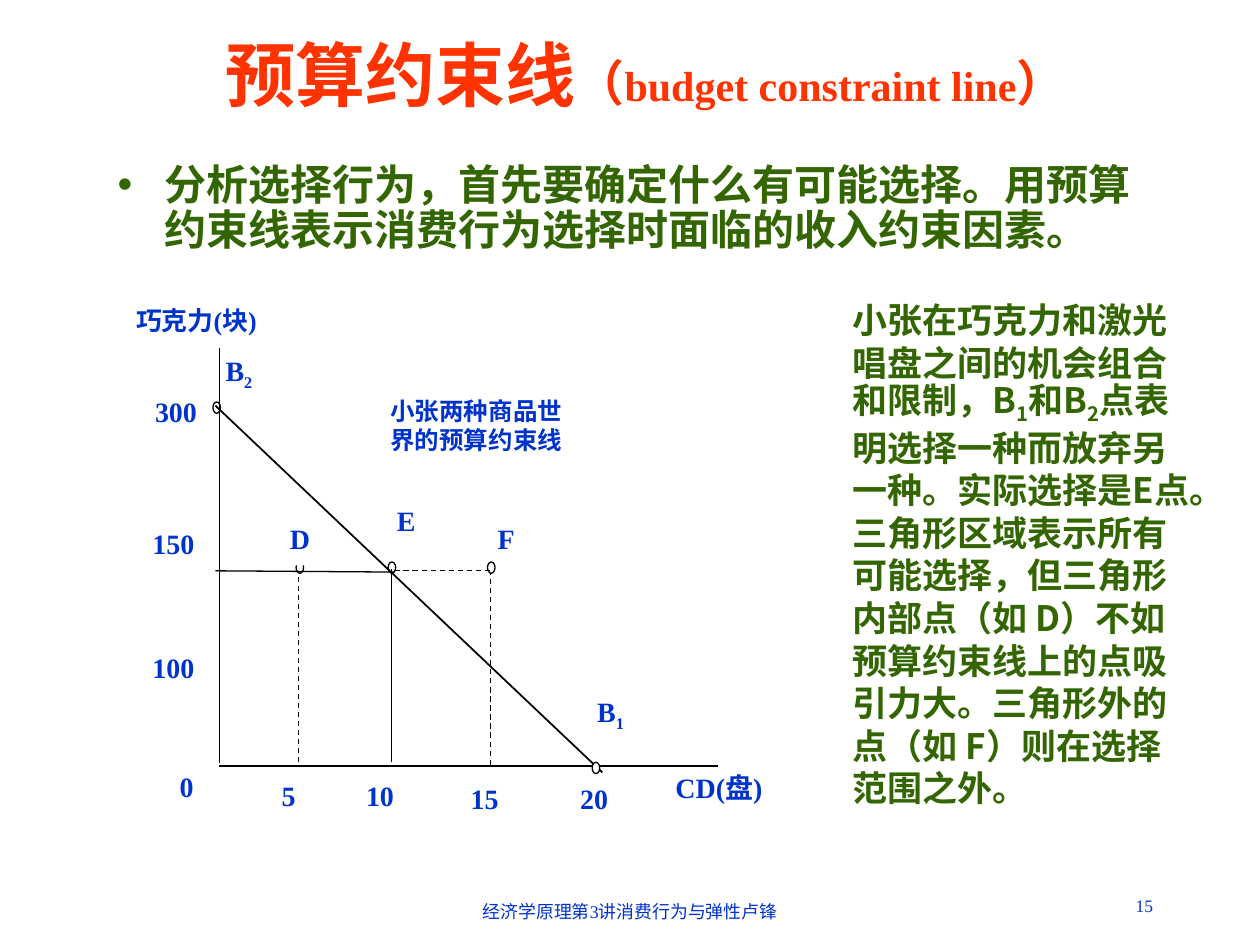
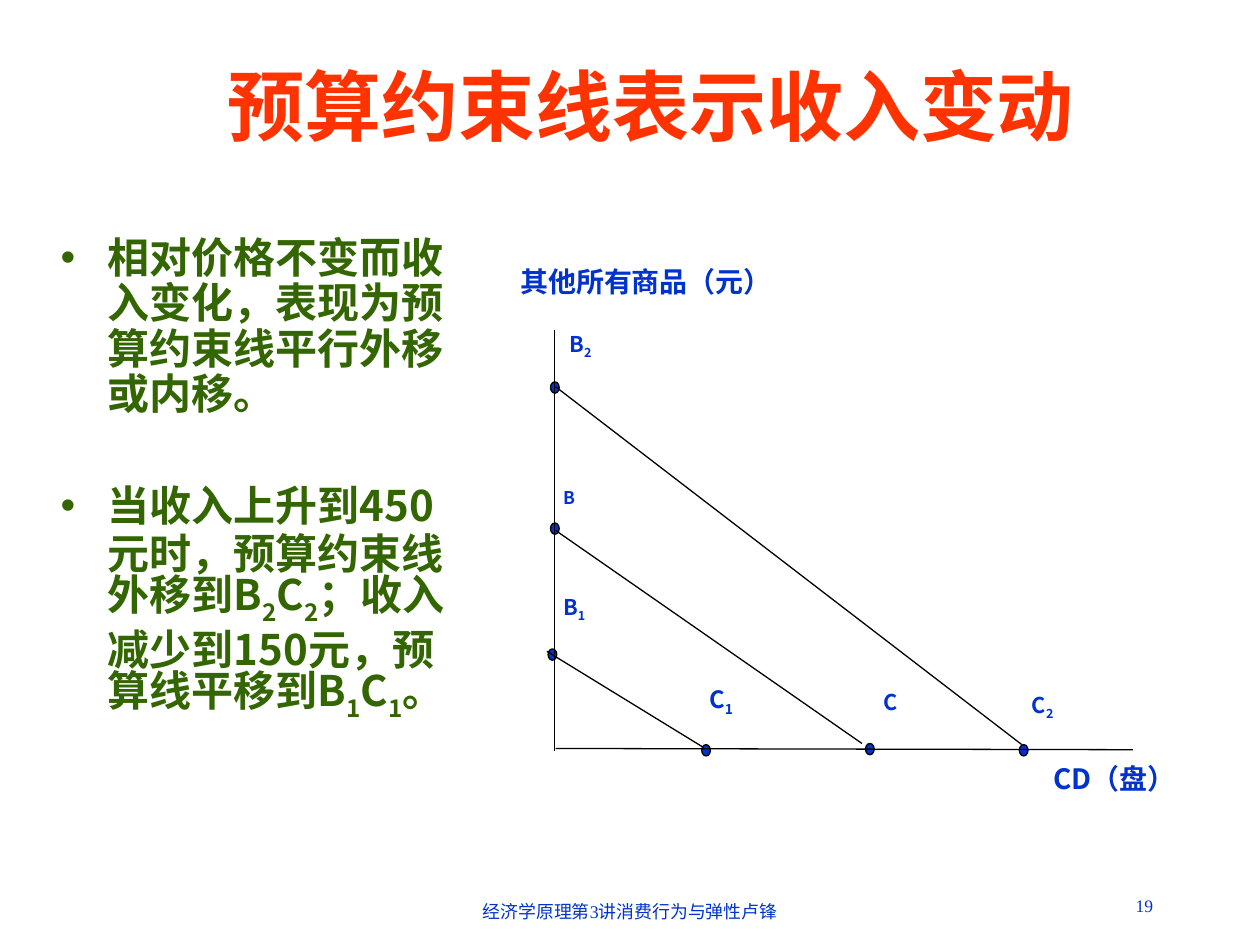
from dataclasses import dataclass
from typing import Optional

from lxml import etree
from pptx import Presentation
from pptx.dml.color import RGBColor
from pptx.enum.dml import MSO_LINE_DASH_STYLE as Dash
from pptx.enum.shapes import MSO_CONNECTOR as Connector, MSO_SHAPE as Shape
from pptx.enum.text import MSO_ANCHOR as Anchor, MSO_AUTO_SIZE as AutoSize, PP_ALIGN as Align
from pptx.oxml.ns import qn
from pptx.util import Pt

# Shared look
RED, GREEN, BLUE, BLACK, WHITE = "FF3300", "336600", "0033CC", "000000", "FFFFFF"
SERIF, SANS = "Times New Roman", "Noto Sans CJK SC"
FOOTER = "经济学原理第3讲消费行为与弹性卢锋"
LEADING = 1.2  # line pitch as a multiple of the text size


@dataclass(frozen=True)
class Box:
    x: float
    y: float
    w: float
    h: float

    def emu(self) -> tuple:
        return Pt(self.x), Pt(self.y), Pt(self.w), Pt(self.h)


@dataclass(frozen=True)
class Style:
    size: float
    color: str = BLUE
    bold: bool = True
    font: str = SERIF


@dataclass(frozen=True)
class Label:
    text: str
    box: Box
    size: float = 16


@dataclass(frozen=True)
class Segment:
    x1: float
    y1: float
    x2: float
    y2: float
    dashed: bool = False
    width: float = 0.75


@dataclass(frozen=True)
class Dot:
    x: float
    y: float


@dataclass(frozen=True)
class Bullet:
    text: str
    pitch: float
    before: float = 0


def rgb(color: str) -> RGBColor:
    return RGBColor.from_string(color)


# Text
def format_paragraph(p, style: Style) -> None:
    f = p.font
    f.size, f.bold, f.name = Pt(style.size), style.bold, style.font
    f.color.rgb = rgb(style.color)
    etree.SubElement(f._element, qn("a:ea")).set("typeface", SANS)


def add_runs(p, text: str) -> None:
    """Add text; the character after each underscore is a subscript."""
    first, *rest = text.split("_")
    p.add_run().text = first
    for part in rest:
        r = p.add_run()
        r.text = part[0]
        r.font._element.set("baseline", "-25000")
        if part[1:]:
            p.add_run().text = part[1:]


def write(tf, text: str, style: Style, align=Align.LEFT,
          pitch: Optional[float] = None) -> None:
    tf.word_wrap = True
    tf.vertical_anchor = Anchor.TOP
    for i, line in enumerate(text.split("\n")):
        p = tf.add_paragraph() if i else tf.paragraphs[0]
        p.alignment = align
        p.line_spacing = Pt(pitch or style.size * LEADING)
        format_paragraph(p, style)
        add_runs(p, line)


def add_text(s, text: str, box: Box, style: Style, align=Align.LEFT,
             pitch: Optional[float] = None) -> None:
    write(s.shapes.add_textbox(*box.emu()).text_frame, text, style, align, pitch)


def add_label(s, label: Label, font: str, filled: bool) -> None:
    if filled:
        sp = s.shapes.add_shape(Shape.RECTANGLE, *label.box.emu())
        sp.shadow.inherit = False
        sp.fill.solid()
        sp.fill.fore_color.rgb = rgb(WHITE)
        sp.line.fill.background()
    else:
        sp = s.shapes.add_textbox(*label.box.emu())
    tf = sp.text_frame
    tf.margin_left = tf.margin_right = tf.margin_top = tf.margin_bottom = Pt(0)
    write(tf, label.text, Style(label.size, font=font))


# Placeholders
def place(sp, box: Box):
    sp.left, sp.top, sp.width, sp.height = box.emu()
    sp.text_frame.auto_size = AutoSize.NONE
    return sp.text_frame


def add_title(s, box: Box, parts: list[tuple[str, float]]) -> None:
    tf = place(s.shapes.title, box)
    tf.vertical_anchor = Anchor.MIDDLE
    p = tf.paragraphs[0]
    p.alignment = Align.CENTER
    format_paragraph(p, Style(parts[0][1], RED))
    for text, size in parts:
        r = p.add_run()
        r.text = text
        r.font.size = Pt(size)


def add_bullets(s, box: Box, bullets: list[Bullet], font: str) -> None:
    tf = place(s.placeholders[1], box)
    for i, bullet in enumerate(bullets):
        p = tf.add_paragraph() if i else tf.paragraphs[0]
        color = etree.SubElement(p._p.get_or_add_pPr(), qn("a:buClr"))
        etree.SubElement(color, qn("a:srgbClr")).set("val", GREEN)
        p.space_before = Pt(bullet.before)
        p.line_spacing = Pt(bullet.pitch)
        format_paragraph(p, Style(24, GREEN, font=font))
        add_runs(p, bullet.text)


# Diagram parts
def add_segment(s, seg: Segment) -> None:
    c = s.shapes.add_connector(Connector.STRAIGHT, Pt(seg.x1), Pt(seg.y1),
                               Pt(seg.x2), Pt(seg.y2))
    c.line.color.rgb = rgb(BLACK)
    c.line.width = Pt(seg.width)
    if seg.dashed:
        c.line.dash_style = Dash.DASH
    etree.SubElement(c._element.spPr, qn("a:effectLst"))


def add_dot(s, dot: Dot, fill: str, width: float) -> None:
    sp = s.shapes.add_shape(Shape.OVAL, *Box(dot.x, dot.y, width, 6.5).emu())
    sp.shadow.inherit = False
    sp.fill.solid()
    sp.fill.fore_color.rgb = rgb(fill)
    sp.line.color.rgb = rgb(BLACK)
    sp.line.width = Pt(0.75)


def new_slide(prs, number: int):
    s = prs.slides.add_slide(prs.slide_layouts[1])
    add_text(s, FOOTER, Box(246, 511, 228, 20), Style(10.2, bold=False), Align.CENTER)
    add_text(s, str(number), Box(516, 508, 150, 20), Style(10, bold=False), Align.RIGHT)
    return s


# Slide: budget constraint line
def budget_line_slide(prs) -> None:
    s = new_slide(prs, 15)
    add_title(s, Box(72, 12, 594, 60), [("预算约束线", 40), ("（", 28),
                                        ("budget constraint line", 24), ("）", 28)])
    add_bullets(s, Box(60, 90, 612, 60), [Bullet(
        "分析选择行为，首先要确定什么有可能选择。用预算约束线表示消费行为选择时面临的收入约束因素。",
        25.8)], SERIF)
    add_text(s, "小张在巧克力和激光唱盘之间的机会组合和限制，B_1和B_2点表明选择一种而放弃另一种。"
                "实际选择是E点。三角形区域表示所有可能选择，但三角形内部点（如 D）不如预算约束线上的点"
                "吸引力大。三角形外的点（如 F）则在选择范围之外。",
             Box(480, 167, 210, 299), Style(20, GREEN, font=SANS), pitch=24.3)

    dot_d, dot_e, dot_f = (Dot(x, 321.1) for x in (169.2, 221.8, 278.6))
    for dot in (dot_d, dot_e, dot_f, Dot(121.7, 229.7)):
        add_dot(s, dot, WHITE, 4.3)
    axis_x, axis_y, level = 125.3, 437.8, 326.2
    for seg in (
        Segment(123.1, 231.8, 344.2, 441.4, width=1),
        Segment(axis_x, axis_y, 410.4, axis_y),
        Segment(axis_x, 436.3, axis_x, 198.7),
        Segment(123.1, level, 225.4, 326.9),
        Segment(223.9, 435.6, 223.9, 325.4),
        Segment(170.6, 435.6, 170.6, level, dashed=True),
        Segment(280.1, 437, 280.1, 327.6, dashed=True),
        Segment(225.4, level, 282.2, level, dashed=True),
    ):
        add_segment(s, seg)
    add_dot(s, Dot(338.4, 435.6), WHITE, 4.3)

    labels = [
        Label("巧克力(块)", Box(77.8, 174.2, 90, 23), 14.8),
        Label("CD(盘)", Box(386, 440.6, 68, 22)),
        Label("E", Box(226.8, 288, 14.4, 29)),
        Label("F", Box(284.4, 298.1, 14.4, 37)),
        Label("D", Box(165.6, 298.1, 13, 25)),
        Label("B_1", Box(341.3, 399.6, 20, 31)),
        Label("B_2", Box(128.9, 204.5, 20, 22)),
    ]
    ticks = [("300", 88.6, 225.4), ("150", 87.1, 301), ("100", 87.1, 371.5),
             ("0", 102.6, 440), ("5", 161, 445), ("10", 209.2, 445),
             ("15", 269, 446.4), ("20", 331.6, 446.4)]
    labels += [Label(text, Box(x, y, 30 if len(text) > 1 else 16, 22))
               for text, x, y in ticks]
    for label in labels:
        add_label(s, label, SERIF, filled=True)
    add_text(s, "小张两种商品世\n界的预算约束线", Box(216, 222.5, 116, 41), Style(14))


# Slide: income change
def income_change_slide(prs) -> None:
    s = new_slide(prs, 19)
    add_title(s, Box(72, 30, 600, 60), [("预算约束线表示收入变动", 44)])
    add_bullets(s, Box(27.4, 131.8, 247.7, 318), [
        Bullet("相对价格不变而收入变化，表现为预算约束线平行外移或内移。", 25.8),
        Bullet("当收入上升到450元时，预算约束线外移到B_2C_2；收入减少到150元，预算线平移到B_1C_1。",
               27.4, before=37),
    ], SANS)

    for x, y in ((314.6, 218.2), (314.6, 298.8), (313.2, 370.8),
                 (401, 425.5), (494.6, 424.8), (582.5, 425.5)):
        add_dot(s, Dot(x, y), BLUE, 5)
    for seg in (
        Segment(317.5, 427.7, 647.3, 428.4),
        Segment(316.8, 188.6, 316.8, 429.1),
        Segment(317.5, 221, 583.9, 425.5),
        Segment(317.5, 303.1, 492.5, 424.8),
        Segment(312.5, 372.2, 401.8, 427),
    ):
        add_segment(s, seg)
    for label in (
        Label("其他所有商品（元）", Box(297.4, 151.2, 188, 34)),
        Label("CD（盘）", Box(601.9, 434.9, 92, 34)),
        Label("B_2", Box(325.4, 190.8, 24, 32), 12.4),
        Label("B", Box(321.8, 278.6, 15, 26), 10),
        Label("B_1", Box(321.8, 341.3, 24, 32), 12.4),
        Label("C_1", Box(405.4, 393.8, 25, 30), 13.6),
        Label("C", Box(504.7, 393.8, 18, 25), 12.4),
        Label("C_2", Box(589.7, 397.4, 23, 27), 12.4),
    ):
        add_label(s, label, SANS, filled=False)


def main() -> None:
    prs = Presentation()
    prs.slide_width, prs.slide_height = Pt(720), Pt(540)
    budget_line_slide(prs)
    income_change_slide(prs)
    prs.save("out.pptx")


if __name__ == "__main__":
    main()
